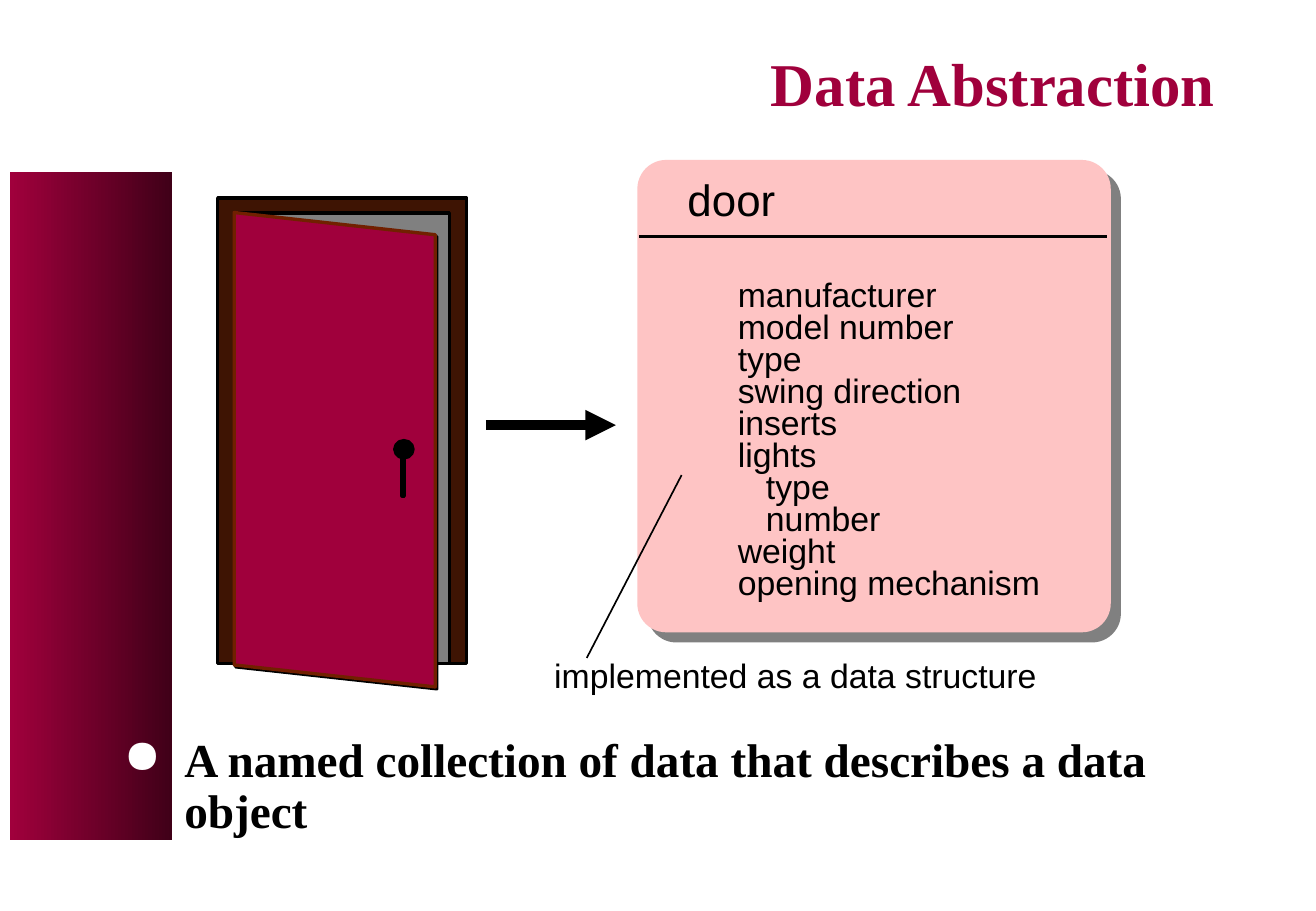
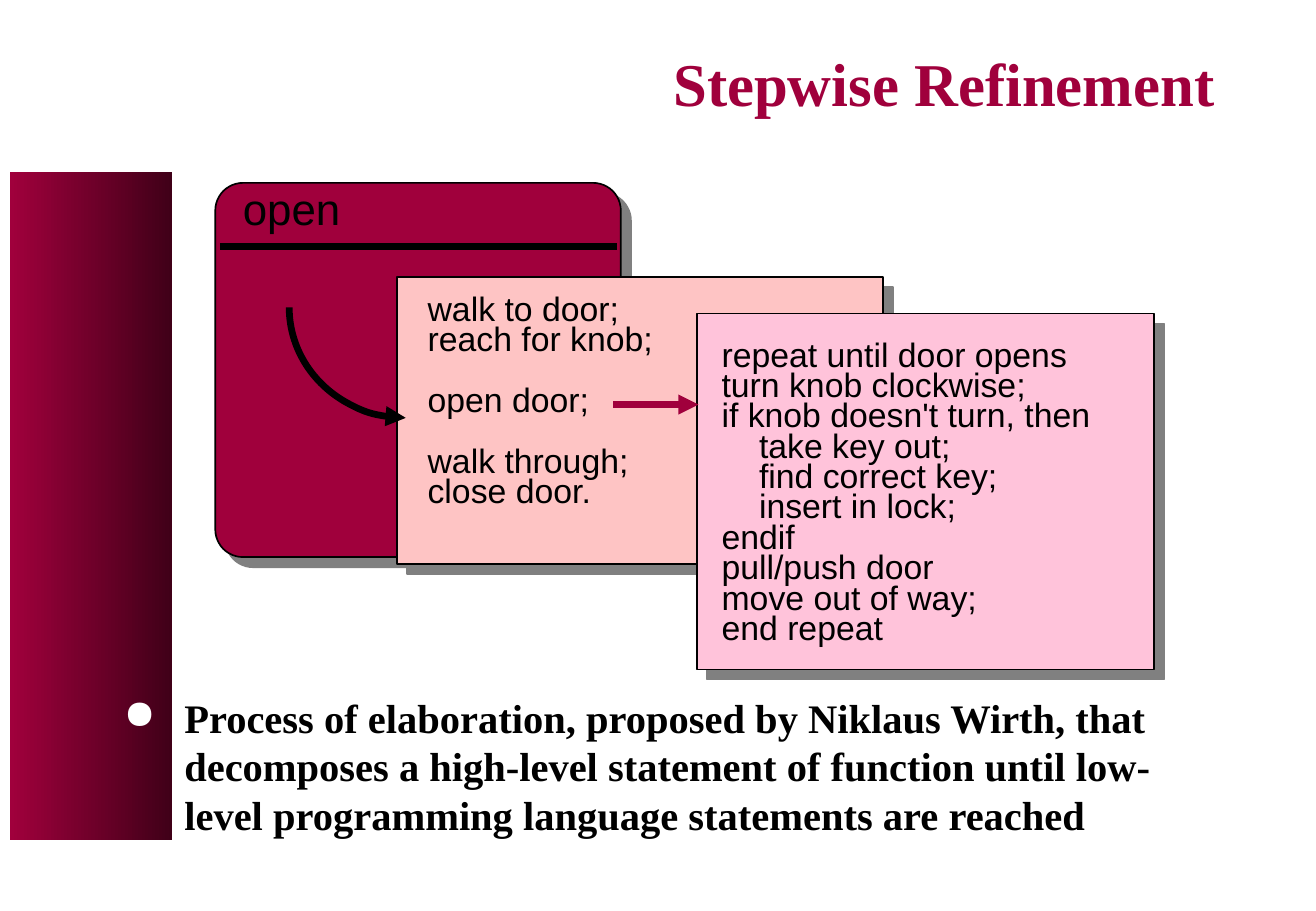
from dataclasses import dataclass

import lxml.etree
import pptx
import pptx.dml.color
import pptx.enum.shapes
import pptx.enum.text
import pptx.oxml
import pptx.oxml.ns
import pptx.util

Pt = pptx.util.Pt
qn = pptx.oxml.ns.qn
SHAPE = pptx.enum.shapes.MSO_SHAPE
ALIGN = pptx.enum.text.PP_ALIGN

COLORS = {
    "crimson": "A0003C",
    "maroon": "400018",
    "blush": "FEC4C4",
    "pink": "FFC3DA",
    "frame": "3E1403",
    "trim": "712000",
    "gray": "808080",
    "black": "000000",
    "white": "FFFFFF",
}
SANS, SERIF = "Arial", "Times New Roman"


@dataclass
class Box:
    x: float
    y: float
    w: float
    h: float

    def emu(self):
        return [Pt(v) for v in (self.x, self.y, self.w, self.h)]


@dataclass
class Panel:
    box: Box
    fill: str
    line: str = "black"
    width: float = 1
    radius: float = 0


@dataclass
class Line:
    text: str
    indent: float = 0
    before: float = 0


def rgb(name: str):
    return pptx.dml.color.RGBColor.from_string(COLORS[name])


def paint(sp, fill: str = "", line: str = "", width: float = 2) -> None:
    sp.shadow.inherit = False
    if fill:
        sp.fill.solid()
        sp.fill.fore_color.rgb = rgb(fill)
    else:
        sp.fill.background()
    if line:
        sp.line.color.rgb = rgb(line)
        sp.line.width = Pt(width)
    else:
        sp.line.fill.background()


def add_arrowhead(sp, end: str) -> None:
    ln = sp.line._get_or_add_ln()
    lxml.etree.SubElement(ln, qn(f"a:{end}"), type="triangle")


def add_shape(s, kind, box: Box, fill: str = "", line: str = "", width: float = 2):
    sp = s.shapes.add_shape(kind, *box.emu())
    paint(sp, fill, line, width)
    return sp


def add_polygon(s, points: list, fill: str, line: str) -> None:
    start, *rest = [(Pt(x), Pt(y)) for x, y in points]
    builder = s.shapes.build_freeform(*start)
    builder.add_line_segments(rest, close=True)
    paint(builder.convert_to_shape(), fill, line)


def add_panel(s, panel: Panel) -> None:
    kind = SHAPE.ROUNDED_RECTANGLE if panel.radius else SHAPE.RECTANGLE
    sp = add_shape(s, kind, panel.box, panel.fill, panel.line, panel.width)
    if panel.radius:
        sp.adjustments[0] = panel.radius
    effects = sp._element.spPr.find(qn("a:effectLst"))
    shadow = lxml.etree.SubElement(
        effects, qn("a:outerShdw"), dist=str(Pt(8.5)), dir="2700000",
        algn="ctr", rotWithShape="0")
    lxml.etree.SubElement(shadow, qn("a:srgbClr"), val=COLORS["gray"])


def add_line(s, start: tuple, end: tuple, width: float,
             color: str = "black", arrow: bool = False) -> None:
    cn = s.shapes.add_connector(
        pptx.enum.shapes.MSO_CONNECTOR.STRAIGHT, *[Pt(v) for v in start + end])
    cn.line.color.rgb = rgb(color)
    cn.line.width = Pt(width)
    lxml.etree.SubElement(cn._element.spPr, qn("a:effectLst"))
    if arrow:
        add_arrowhead(cn, "tailEnd")


def add_run(p, text: str, size: float, font: str = SANS,
            color: str = "black", bold: bool = False) -> None:
    r = p.add_run()
    r.text = text
    r.font.size = Pt(size)
    r.font.name = font
    r.font.bold = bold
    r.font.color.rgb = rgb(color)


def add_frame(s, box: Box):
    tf = s.shapes.add_textbox(*box.emu()).text_frame
    tf.word_wrap = True
    tf.margin_left = tf.margin_right = Pt(7.2)
    return tf


def add_label(s, box: Box, text: str, size: float) -> None:
    add_run(add_frame(s, box).paragraphs[0], text, size)


def add_listing(s, box: Box, lines: list[Line], pitch: float) -> None:
    tf = add_frame(s, box)
    for i, line in enumerate(lines):
        p = tf.add_paragraph() if i else tf.paragraphs[0]
        p.line_spacing = Pt(pitch)
        p.space_before = Pt(line.before)
        p._p.get_or_add_pPr().set("marL", str(Pt(line.indent)))
        add_run(p, line.text, 20)


def add_bullet(s, top: float, text: str, size: float, spacing: float) -> None:
    p = add_frame(s, Box(66.2, top, 661.8, 498 - top)).paragraphs[0]
    p.line_spacing = spacing
    pPr = p._p.get_or_add_pPr()
    pPr.set("marL", str(Pt(36)))
    pPr.set("indent", str(-Pt(36)))
    color = lxml.etree.SubElement(pPr, qn("a:buClr"))
    lxml.etree.SubElement(color, qn("a:srgbClr"), val=COLORS["white"])
    lxml.etree.SubElement(pPr, qn("a:buChar"), char="●")
    add_run(p, text, size, SERIF, bold=True)


def add_slide(prs, title: str):
    s = prs.slides.add_slide(prs.slide_layouts[5])
    sp = s.shapes.title
    sp.left, sp.top, sp.width, sp.height = Box(390, 30, 336, 43.2).emu()
    tf = sp.text_frame
    tf.auto_size = pptx.enum.text.MSO_AUTO_SIZE.NONE
    tf.vertical_anchor = pptx.enum.text.MSO_ANCHOR.TOP
    tf.margin_left = tf.margin_right = Pt(6)
    tf.margin_top = tf.margin_bottom = Pt(2.2)
    p = tf.paragraphs[0]
    p.alignment = ALIGN.RIGHT
    p.line_spacing = 0.9
    add_run(p, title, 36, SERIF, "crimson", True)

    bar = add_shape(s, SHAPE.RECTANGLE, Box(6, 102, 96, 396))
    bar.fill.gradient()
    bar.fill.gradient_angle = 0
    for stop, color in zip(bar.fill.gradient_stops, ("crimson", "maroon")):
        stop.color.rgb = rgb(color)
    s.shapes.element.insert(2, bar.element)
    return s


def add_door(s) -> None:
    add_shape(s, SHAPE.RECTANGLE, Box(129, 117.4, 147.6, 275.8), "frame", "black")
    add_shape(s, SHAPE.RECTANGLE, Box(139, 126.4, 127.4, 266.8), "gray", "black")
    leaf = [(138.8, 126), (258, 139.2), (258, 407.2), (138.8, 394.2)]
    add_polygon(s, [(x + 0.9, y + 1.1) for x, y in leaf], "", "black")
    add_polygon(s, leaf, "crimson", "trim")
    add_shape(s, SHAPE.OVAL, Box(234, 261.2, 10.8, 10.2), "black", "black")
    add_shape(s, SHAPE.RECTANGLE, Box(238.3, 270.2, 1.4, 23.8), "black", "black")


def build_abstraction(prs) -> None:
    s = add_slide(prs, "Data Abstraction")
    add_bullet(s, 433, "A named collection of data that describes a data object", 28, 0.9)
    add_panel(s, Panel(Box(378.8, 95.8, 278.6, 278), "blush", "blush", 2, 0.058))
    add_line(s, (379, 140.2), (656, 140.2), 2)
    add_label(s, Box(400.4, 98.6, 90, 38.8), "door", 26)
    add_line(s, (404, 281.6), (347.8, 390), 1)
    add_label(s, Box(321.4, 384.4, 310, 31.6), "implemented as a data structure", 20)
    fields = [
        Line("manufacturer"), Line("model number"), Line("type"),
        Line("swing direction"), Line("inserts"), Line("lights"),
        Line("type", 16.7), Line("number", 16.7),
        Line("weight"), Line("opening mechanism"),
    ]
    add_listing(s, Box(430.2, 163.7, 215, 198), fields, 18.96)
    add_door(s)
    add_line(s, (288, 252), (365, 252), 6, arrow=True)


def build_refinement(prs) -> None:
    s = add_slide(prs, "Stepwise Refinement")
    add_bullet(
        s, 407,
        "Process of elaboration, proposed by Niklaus Wirth, that decomposes "
        "a high-level statement of function until low-level programming "
        "language statements are reached", 24, 1)
    add_panel(s, Panel(Box(127.6, 108.4, 240.4, 221.8), "crimson", radius=0.074))
    add_line(s, (130.3, 146.2), (365.8, 146.2), 4)
    add_label(s, Box(136.8, 104, 90, 38.8), "open", 26)

    add_panel(s, Panel(Box(235.4, 164.2, 288, 170), "blush"))
    steps = [
        Line("walk to door;"), Line("reach for knob;"),
        Line("open door;", before=18),
        Line("walk through;", before=18), Line("close door."),
    ]
    add_listing(s, Box(246.4, 172.9, 160, 135), steps, 18)

    add_panel(s, Panel(Box(413.2, 185.8, 270.8, 211), "pink"))
    details = [
        Line("repeat until door opens"), Line("turn knob clockwise;"),
        Line("if knob doesn't turn, then"),
        Line("take key out;", 22.2), Line("find correct key;", 22.2),
        Line("insert in lock;", 22.2),
        Line("endif"), Line("pull/push door"),
        Line("move out of way;"), Line("end repeat"),
    ]
    add_listing(s, Box(420.6, 200.1, 250, 188), details, 18)

    add_line(s, (363.6, 239.8), (414, 239.8), 4, "crimson", True)
    arc = add_shape(s, SHAPE.ARC, Box(171.4, 116.7, 138.2, 131), "", "black", 4)
    arc.adjustments[0] = 54
    arc.adjustments[1] = 108
    add_arrowhead(arc, "headEnd")


def main() -> None:
    prs = pptx.Presentation()
    prs.slide_width, prs.slide_height = Pt(780), Pt(540)
    build_abstraction(prs)
    build_refinement(prs)
    prs.save("out.pptx")


if __name__ == "__main__":
    main()
